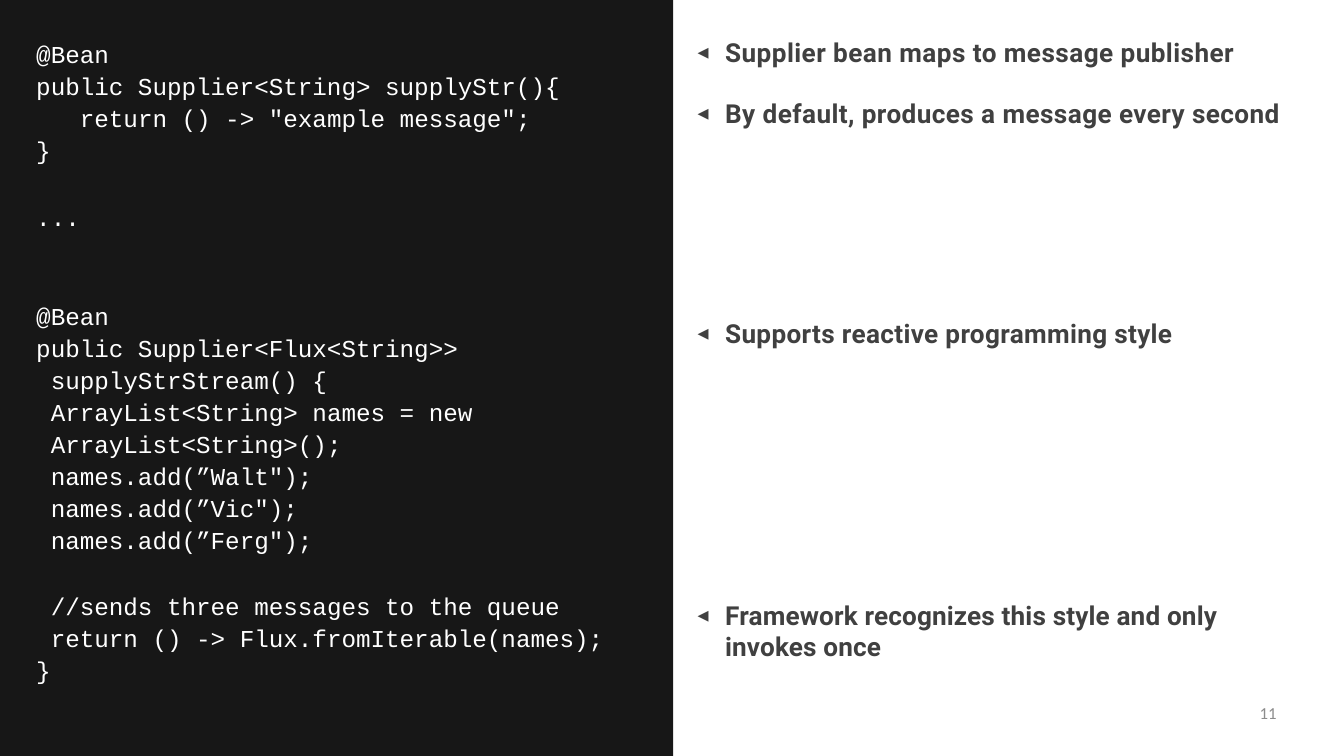
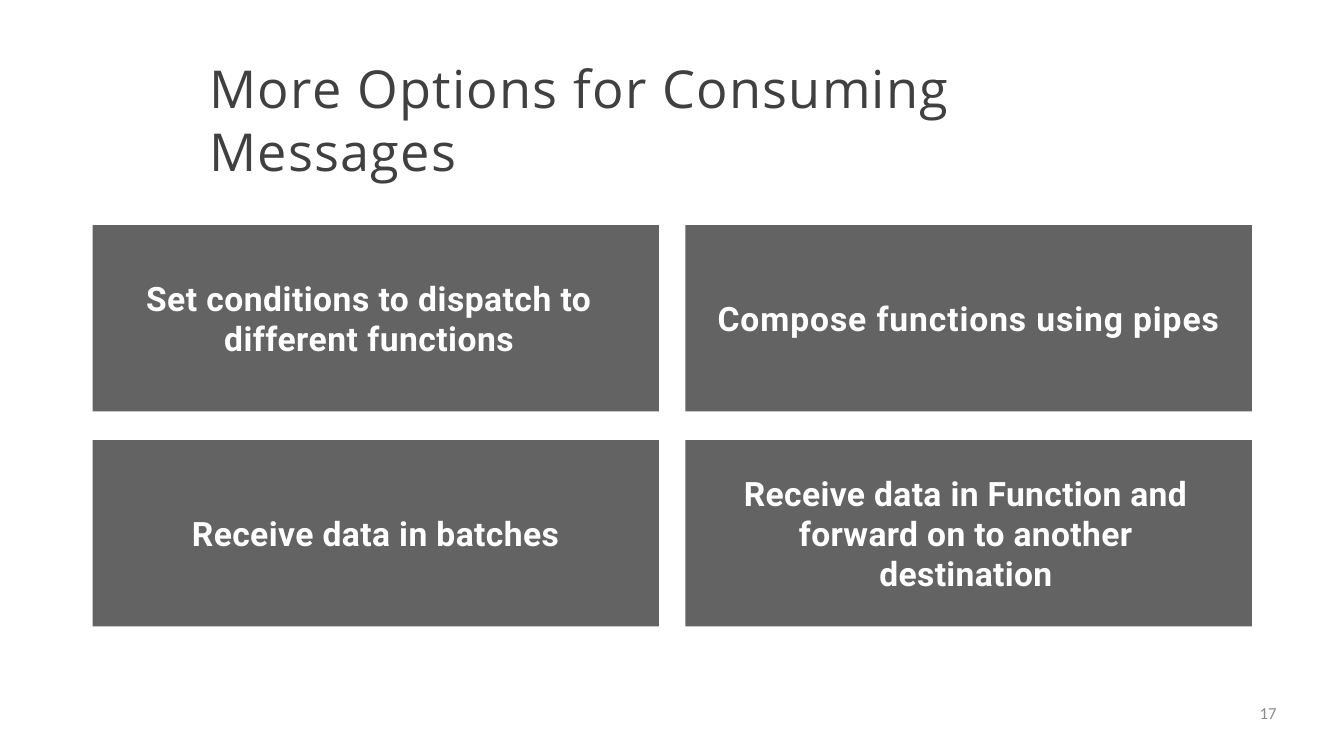
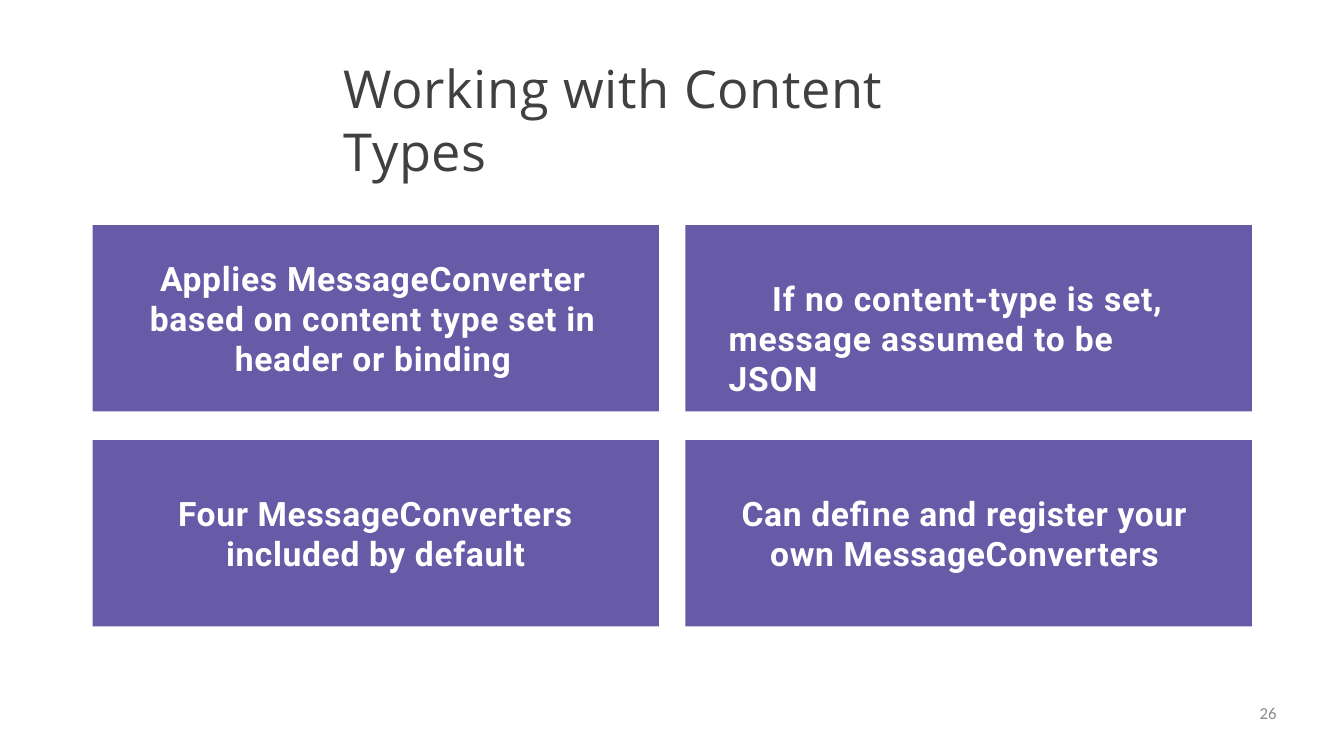
"""Build three slides on message suppliers, consumers and content types."""
from dataclasses import dataclass

from lxml import etree
from pptx import Presentation
from pptx import util as u
from pptx.dml import color
from pptx.enum import shapes, text
from pptx.oxml import ns

WHITE, BLACK, GREY, PURPLE = "FFFFFF", "171717", "636363", "675BA7"
INK, FAINT = "404040", "8C8C8C"
LEFT, CENTER, RIGHT = text.PP_ALIGN.LEFT, text.PP_ALIGN.CENTER, text.PP_ALIGN.RIGHT
TOP, MIDDLE = text.MSO_ANCHOR.TOP, text.MSO_ANCHOR.MIDDLE
PAGE_W, PAGE_H, PANEL_W = 50.8, 28.58, 25.45
CARD_W, CARD_H, CARD_LEFT, CARD_TOP = 21.41, 7.04, 3.5, 8.51
GAP_X, GAP_Y = 1.0, 1.09
CODE_CHAR, HANGING = 0.55, 1.04


@dataclass(frozen=True)
class Box:
    """A rectangle in centimetres."""
    left: float
    top: float
    width: float
    height: float


@dataclass(frozen=True)
class Style:
    """How the characters of a paragraph look."""
    font: str
    size: float
    ink: str
    bold: bool = False


@dataclass(frozen=True)
class CodeLine:
    """A line of code, its indent in characters and the points above it."""
    text: str
    depth: int = 0
    above: float = 0


@dataclass(frozen=True)
class Point:
    """A bulleted remark beside the code."""
    text: str
    box: Box
    tracking: float


@dataclass(frozen=True)
class Card:
    """A filled tile; insets push its text off centre."""
    text: str
    tracking: float
    right: float = 0
    top: float = 0
    left: float = 0
    first: float = 0
    align: text.PP_ALIGN = CENTER


CODE = Style("Courier New", 26, WHITE)
TITLE = Style("Open Sans", 56, INK)
POINT = Style("Roboto", 28, INK, True)
CARD = Style("Roboto", 36, WHITE, True)
NUMBER = Style("Calibri", 18, FAINT)

CODE_LINES = [
    CodeLine("@Bean"),
    CodeLine("public Supplier<String> supplyStr(){"),
    CodeLine('return () -> "example message";', 3),
    CodeLine("}"),
    CodeLine("...", above=37.5),
    CodeLine("@Bean", above=71.8),
    CodeLine("public Supplier<Flux<String>>"),
    CodeLine("supplyStrStream() {", 1),
    CodeLine("ArrayList<String> names = new", 1),
    CodeLine("ArrayList<String>();", 1),
    CodeLine("names.add(\u201dWalt\");", 1),
    CodeLine("names.add(\u201dVic\");", 1),
    CodeLine("names.add(\u201dFerg\");", 1),
    CodeLine("//sends three messages to the queue", 1, 36.4),
    CodeLine("return () -> Flux.fromIterable(names);", 1),
    CodeLine("}"),
]
HEADLINE = Point("Supplier bean maps to message publisher",
                 Box(26.37, 1.32, 20.52, 1.24), 0.5)
POINTS = [
    Point("By default, produces a message every second",
          Box(26.37, 3.68, 22.48, 1.24), 0.47),
    Point("Supports reactive programming style",
          Box(26.37, 11.99, 18.4, 1.24), 0.4),
    Point("Framework recognizes this style and only invokes once",
          Box(26.37, 22.66, 20.32, 2.44), 0.2),
]
CONSUMING = [
    Card("Set conditions to dispatch to\vdifferent functions", 0.55, right=0.5),
    Card("Compose functions using pipes", 1.0),
    Card("Receive data in batches", 0.45),
    Card("Receive data in Function and\vforward on to another\vdestination",
         0.4, right=0.2),
]
CONTENT_TYPES = [
    Card("Applies MessageConverter\vbased on content type set in\v"
         "header or binding", 0.8, right=0.2),
    Card("If no content-type is set,\vmessage assumed to be\vJSON", 0.95,
         top=1.5, left=1.63, first=1.65, align=LEFT),
    Card("Four MessageConverters\vincluded by default", 0.7),
    Card("Can define and register your\vown MessageConverters", 0.75, right=0.3),
]


def rgb(value: str) -> color.RGBColor:
    """Turn a hex string into a colour."""
    return color.RGBColor.from_string(value)


def place(shape, box: Box) -> None:
    """Move and size a shape."""
    shape.left, shape.top = u.Cm(box.left), u.Cm(box.top)
    shape.width, shape.height = u.Cm(box.width), u.Cm(box.height)


def prepare(frame, anchor=TOP, left=0.0, top=0.0, right=0.0) -> None:
    """Set wrapping, anchor and insets of a text frame."""
    frame.word_wrap = True
    frame.auto_size = text.MSO_AUTO_SIZE.NONE
    frame.vertical_anchor = anchor
    frame.margin_left, frame.margin_top = u.Cm(left), u.Cm(top)
    frame.margin_right, frame.margin_bottom = u.Cm(right), 0


def write(para, words: str, style: Style, tracking=0.0, align=LEFT) -> None:
    """Fill a paragraph and format all of it."""
    para.text = words
    para.alignment = align
    font = para.font
    font.name, font.size, font.bold = style.font, u.Pt(style.size), style.bold
    font.color.rgb = rgb(style.ink)
    para._p.get_or_add_pPr().get_or_add_defRPr().set("spc", str(round(tracking * 100)))


def indent(para, margin: float, first: float = 0) -> None:
    """Set the left margin and first-line indent of a paragraph."""
    props = para._p.get_or_add_pPr()
    props.set("marL", str(u.Cm(margin)))
    props.set("indent", str(u.Cm(first)))


def add_bullet(para) -> None:
    """Give a paragraph a hanging triangle bullet."""
    indent(para, HANGING, -HANGING)
    props = para._p.get_or_add_pPr()
    for tag, name, value in (("a:buSzPct", "val", "70000"),
                             ("a:buFont", "typeface", "DejaVu Sans Mono"),
                             ("a:buChar", "char", "\u25c0")):
        etree.SubElement(props, ns.qn(tag)).set(name, value)


def add_text_box(page, box: Box):
    """Add a text box without insets and return its frame."""
    shape = page.shapes.add_textbox(0, 0, 0, 0)
    place(shape, box)
    prepare(shape.text_frame)
    return shape.text_frame


def add_panel(page, box: Box, fill: str):
    """Add a plain filled rectangle."""
    shape = page.shapes.add_shape(shapes.MSO_SHAPE.RECTANGLE, 0, 0, 0, 0)
    place(shape, box)
    shape.shadow.inherit = False
    shape.fill.solid()
    shape.fill.fore_color.rgb = rgb(fill)
    shape.line.fill.background()
    return shape


def add_page(deck, number: int):
    """Add a title-only page with its page number."""
    page = deck.slides.add_slide(deck.slide_layouts[5])
    frame = add_text_box(page, Box(36.58, 26.57, 11.68, 1.42))
    write(frame.paragraphs[0], str(number), NUMBER, align=RIGHT)
    return page


def set_title(page, box: Box):
    """Place the title and return its paragraph."""
    place(page.shapes.title, box)
    prepare(page.shapes.title.text_frame, top=0.05)
    return page.shapes.title.text_frame.paragraphs[0]


def write_point(para, point: Point) -> None:
    """Write a bulleted remark."""
    add_bullet(para)
    write(para, point.text, POINT, point.tracking)


def add_code(page, lines: list[CodeLine]) -> None:
    """Write a listing, one paragraph a line."""
    frame = add_text_box(page, Box(1.37, 1.37, 21.85, 24.28))
    for index, line in enumerate(lines):
        para = frame.add_paragraph() if index else frame.paragraphs[0]
        write(para, line.text, CODE, -0.05)
        indent(para, line.depth * CODE_CHAR)
        para.line_spacing = u.Pt(34.3)
        para.space_before = u.Pt(line.above)


def add_code_page(deck, number: int) -> None:
    """Add the page with code on the left and remarks on the right."""
    page = add_page(deck, number)
    panels = [add_panel(page, Box(0, 0, PANEL_W, PAGE_H), BLACK),
              add_panel(page, Box(PANEL_W, 0, PAGE_W - PANEL_W, PAGE_H), WHITE)]
    for depth, panel in enumerate(panels):
        page.shapes._spTree.insert(2 + depth, panel._element)
    add_code(page, CODE_LINES)
    write_point(set_title(page, HEADLINE.box), HEADLINE)
    for point in POINTS:
        write_point(add_text_box(page, point.box).paragraphs[0], point)


def add_card_page(deck, number: int, title: str, box: Box, tracking: float,
                  fill: str, cards: list[Card]) -> None:
    """Add a titled page with a two-column grid of cards."""
    page = add_page(deck, number)
    write(set_title(page, box), title, TITLE, tracking)
    for index, card in enumerate(cards):
        row, column = divmod(index, 2)
        shape = add_panel(page, Box(CARD_LEFT + column * (CARD_W + GAP_X),
                                    CARD_TOP + row * (CARD_H + GAP_Y),
                                    CARD_W, CARD_H), fill)
        prepare(shape.text_frame, MIDDLE, card.left, card.top, card.right)
        para = shape.text_frame.paragraphs[0]
        write(para, card.text, CARD, card.tracking, card.align)
        indent(para, 0, card.first)


def main() -> None:
    """Build and save the deck."""
    deck = Presentation()
    deck.slide_width, deck.slide_height = u.Cm(PAGE_W), u.Cm(PAGE_H)
    add_code_page(deck, 11)
    add_card_page(deck, 17, "More Options for Consuming Messages",
                  Box(7.92, 2.08, 34.95, 2.44), 1.3, GREY, CONSUMING)
    add_card_page(deck, 26, "Working with Content Types",
                  Box(13, 2.08, 24.79, 2.44), 0.6, PURPLE, CONTENT_TYPES)
    deck.save("out.pptx")


main()
